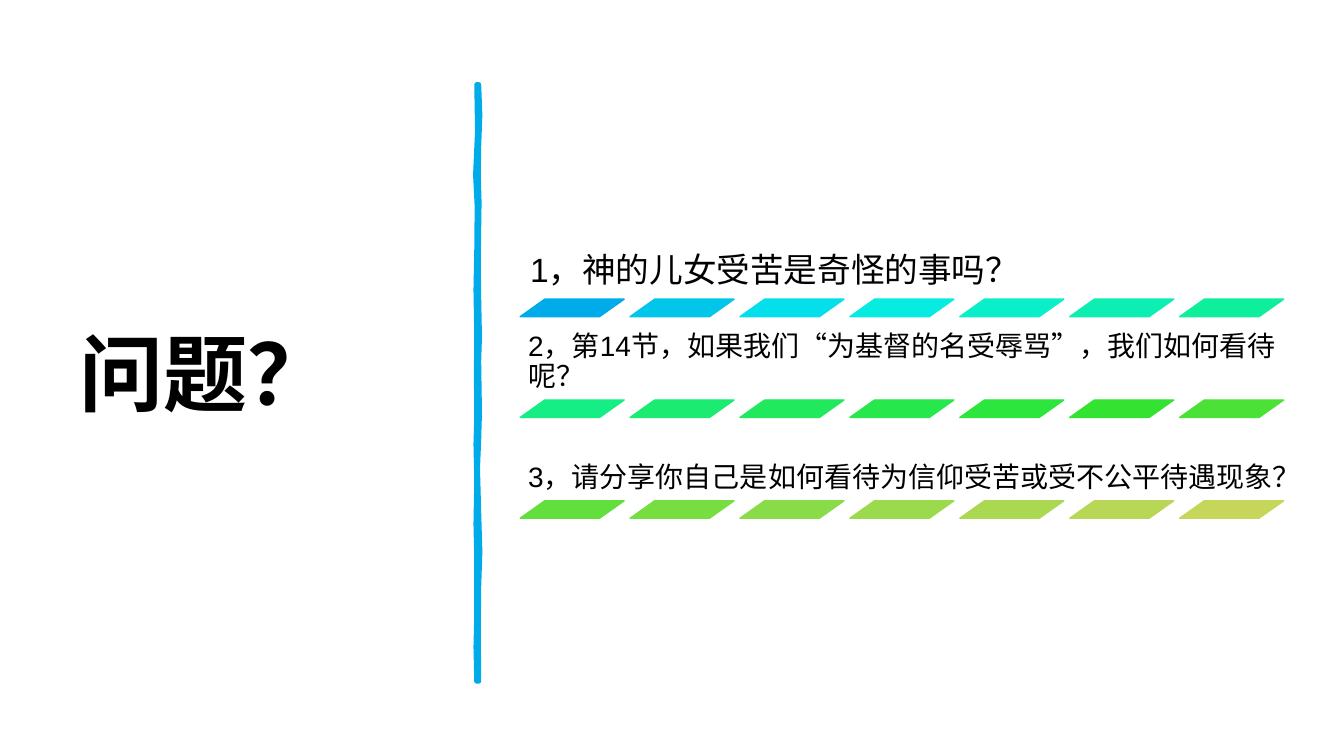
from dataclasses import dataclass

from pptx import Presentation
from pptx.dml.color import RGBColor
from pptx.enum.shapes import MSO_SHAPE
from pptx.enum.text import MSO_ANCHOR, PP_ALIGN
from pptx.shapes.autoshape import Shape
from pptx.slide import Slide
from pptx.util import Cm, Pt


@dataclass(frozen=True)
class Theme:
    """Colours, font and type sizes of the slide."""
    font: str = "Arial"
    background: str = "FFFFFF"
    text: str = "000000"
    divider: str = "00ABE9"
    title_size: float = 60
    lead_size: float = 24
    question_size: float = 20
    divider_width: float = 3.25
    dash_line_width: float = 1


@dataclass(frozen=True)
class Question:
    """A question with its inset and the colours of the dashes below it."""
    text: str
    size: float
    inset: float
    colours: tuple[str, ...]


THEME = Theme()
QUESTION_LEFT, QUESTION_TOP = 13.11, 5.77
QUESTION_WIDTH, QUESTION_HEIGHT = 19.66, 1.78
ROW_PITCH = 2.54
DASH_OFFSET = 1.77
DASH_PITCH, DASH_WIDTH, DASH_HEIGHT = 2.77, 2.62, 0.44
DASH_SLANT = 1.408

QUESTIONS = (
    Question("1，神的儿女受苦是奇怪的事吗？", THEME.lead_size, 0.25,
             ("00ABE9", "02C5EA", "05DFEB", "07ECE0", "0AEEC9", "0DEEB2", "0FEF9B")),
    Question("2，第14节，如果我们“为基督的名受辱骂”，我们如何看待呢？", THEME.question_size, 0.2,
             ("15ED85", "1BEB70", "20E95E", "26E74C", "2CE53D", "34E331", "4CE137")),
    Question("3，请分享你自己是如何看待为信仰受苦或受不公平待遇现象？", THEME.question_size, 0.2,
             ("62DF3C", "76DE41", "89DC47", "9ADA4C", "AAD951", "B9D756", "C6D65B")),
)

DIVIDER_RIGHT_EDGE = (
    (12.07, 2.13), (12.1, 2.9), (12.07, 3.7), (12.06, 4.4), (12.08, 5.1),
    (12.07, 5.8), (12.06, 6.6), (12.07, 7.5), (12.09, 8.5), (12.07, 9.1),
    (12.09, 10.4), (12.07, 11.1), (12.04, 11.8), (12.07, 12.9),
    (12.1, 13.9), (12.07, 14.8), (12.06, 15.9), (12.07, 17.17),
)
DIVIDER_LEFT_EDGE = (
    (12.01, 17.17), (11.99, 16.3), (12.01, 15.5), (12.01, 14.1), (11.99, 13.2),
    (12.01, 12.1), (11.99, 11.2), (12.01, 10.5), (12.0, 9.4), (12.01, 8.5),
    (11.99, 7.3), (12.01, 6.3), (12.02, 5.2), (11.98, 4.4), (12.03, 3.3),
    (12.01, 2.13),
)


def add_text(slide: Slide, text: str, *, left: float, top: float, width: float,
             height: float, size: float, anchor: MSO_ANCHOR, inset_x: float,
             inset_y: float, bold: bool = False) -> None:
    """Add a wrapped, left-aligned text box measured in centimetres."""
    frame = slide.shapes.add_textbox(Cm(left), Cm(top), Cm(width), Cm(height)).text_frame
    frame.word_wrap = True
    frame.vertical_anchor = anchor
    frame.margin_left = frame.margin_right = Cm(inset_x)
    frame.margin_top = frame.margin_bottom = Cm(inset_y)
    paragraph = frame.paragraphs[0]
    paragraph.alignment = PP_ALIGN.LEFT
    paragraph.line_spacing = 0.9
    run = paragraph.add_run()
    run.text = text
    run.font.name = THEME.font
    run.font.size = Pt(size)
    run.font.bold = bold
    run.font.color.rgb = RGBColor.from_string(THEME.text)


def paint(shape: Shape, colour: str, line_width: float) -> None:
    """Give a shape one colour for fill and line, without a shadow."""
    shape.shadow.inherit = False
    shape.fill.solid()
    shape.fill.fore_color.rgb = RGBColor.from_string(colour)
    shape.line.color.rgb = RGBColor.from_string(colour)
    shape.line.width = Pt(line_width)


def add_divider(slide: Slide) -> None:
    """Draw the hand-drawn vertical line beside the title."""
    start, *rest = [(Cm(x), Cm(y)) for x, y in DIVIDER_RIGHT_EDGE + DIVIDER_LEFT_EDGE]
    builder = slide.shapes.build_freeform(*start)
    builder.add_line_segments(rest, close=True)
    paint(builder.convert_to_shape(), THEME.divider, THEME.divider_width)


def add_question(slide: Slide, question: Question, row: int) -> None:
    """Draw one question above its row of slanted dashes."""
    top = QUESTION_TOP + row * ROW_PITCH
    add_text(slide, question.text, left=QUESTION_LEFT, top=top,
             width=QUESTION_WIDTH, height=QUESTION_HEIGHT, size=question.size,
             anchor=MSO_ANCHOR.BOTTOM, inset_x=question.inset, inset_y=question.inset)
    for column, colour in enumerate(question.colours):
        dash = slide.shapes.add_shape(
            MSO_SHAPE.PARALLELOGRAM, Cm(QUESTION_LEFT + column * DASH_PITCH),
            Cm(top + DASH_OFFSET), Cm(DASH_WIDTH), Cm(DASH_HEIGHT))
        dash.adjustments[0] = DASH_SLANT
        paint(dash, colour, THEME.dash_line_width)


def main() -> None:
    """Build the slide and save it."""
    presentation = Presentation()
    presentation.slide_width = Cm(33.87)
    presentation.slide_height = Cm(19.05)
    slide = presentation.slides.add_slide(presentation.slide_layouts[6])
    slide.background.fill.solid()
    slide.background.fill.fore_color.rgb = RGBColor.from_string(THEME.background)
    add_text(slide, "问题？", left=1.75, top=1.78, width=9.5, height=15.52,
             size=THEME.title_size, anchor=MSO_ANCHOR.MIDDLE,
             inset_x=0.25, inset_y=0.13, bold=True)
    add_divider(slide)
    for row, question in enumerate(QUESTIONS):
        add_question(slide, question, row)
    presentation.save("out.pptx")


if __name__ == "__main__":
    main()
